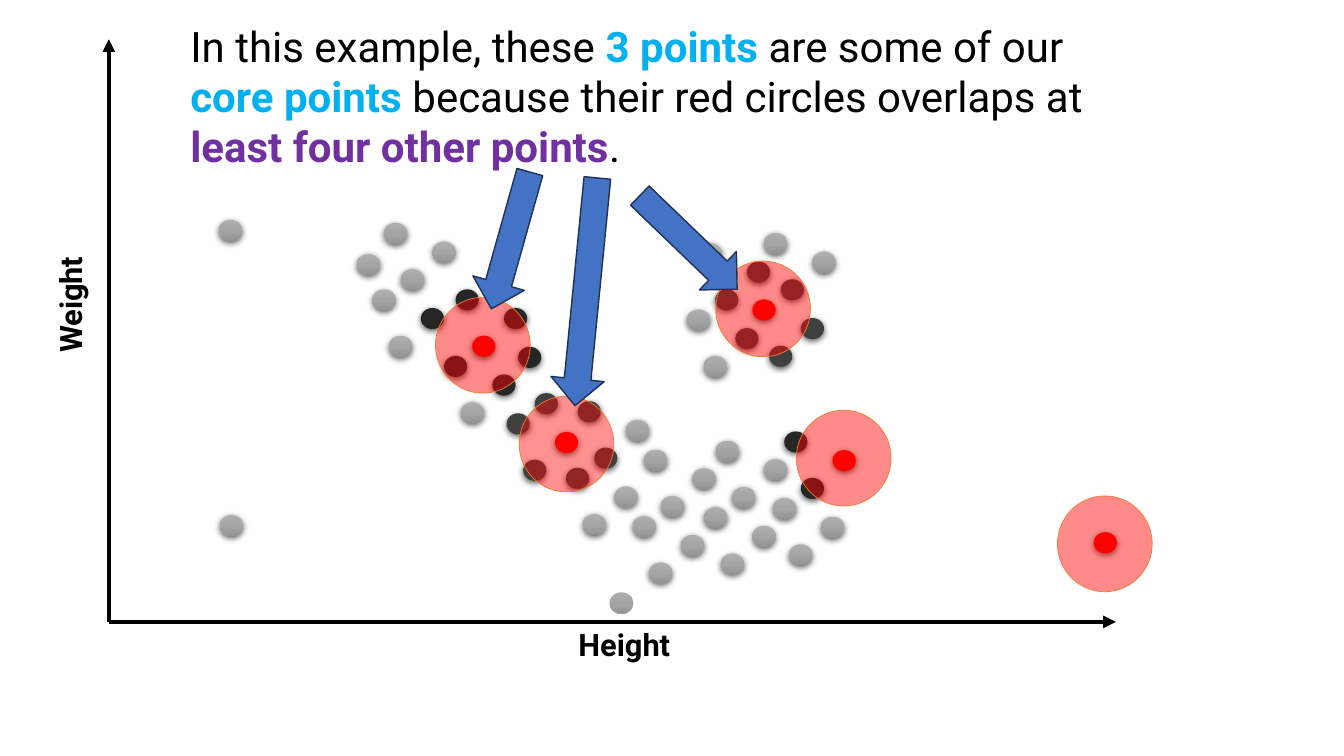
from copy import deepcopy
from lxml.etree import SubElement
from pptx import Presentation
from pptx.dml.color import RGBColor
from pptx.enum.shapes import MSO_CONNECTOR as Link, MSO_SHAPE as Shape
from pptx.enum.text import MSO_AUTO_SIZE as Fit
from pptx.oxml.ns import qn
from pptx.util import Inches, Pt

COLUMNS, ROWS = 133.33, 75
BLACK, RED, SKY, PURPLE = "000000", "FF0000", "00B0F0", "7030A0"
GRAY_STOPS = ((0, "AFAFAF"), (0.5, "A5A5A5"), (1, "939393"))
SHADES = {"d": "262626", "k": "404040", "r": RED, "g": None}

# Each cluster repeats the same six dots; its letters give their shades.
CLUSTER_DOTS = ((0, 0), (1.65, 4.6), (4.8, 1.85), (-1.15, 6.6), (0.5, 11.2), (3.65, 8.45))
CLUSTERS = (
    (38.1, 22.1, "gggggd"), (45.2, 28.7, "drddgd"), (51.4, 34.4, "dkgkkr"),
    (57.3, 39.8, "kkgkgg"), (63.9, 44.6, "gggggg"), (71, 43.7, "gggggg"),
    (77.8, 42.8, "ddrggg"), (69.3, 24.1, "gkkggk"), (75.8, 23.1, "gkgrkk"),
)
SINGLE_DOTS = ((21.7, 21.8, "g"), (21.8, 51.1, "g"), (108.5, 52.8, "r"), (35.4, 25.2, "g"))
RADIUS_CIRCLES = ((43.2, 29.5, 46), (51.5, 39.3, 43), (71, 25.9, 46),
                  (79, 40.7, 46), (104.9, 49.2, 46))
ARROWS = ((43.6, 21.2, 14.1, 105.7), (61.6, 21.4, 13.4, 43.9), (46.8, 26.3, 22.7, 95.6))
MESSAGE = (
    ("In this example, these ", BLACK, False), ("3 points", SKY, True),
    (" are some of our ", BLACK, False), ("core points", SKY, True),
    (" because their red circles overlaps at ", BLACK, False),
    ("least four other points", PURPLE, True), (".", BLACK, False),
)


def colour(code):
    return RGBColor.from_string(code)


def add_xml(parent, tag, **values):
    return SubElement(parent, qn(tag), {name: str(value) for name, value in values.items()})


def apply_format(target, values):
    for name, value in values.items():
        setattr(target, name, value)


class ScatterPage:
    """Draws on one slide, in columns and rows of a grid."""

    font = "Roboto"
    dot_size = (2.3, 2.1)
    circle_size = (9.4, 9.5)
    arrow_height = 5.3

    def __init__(self, deck):
        self.page = deck.slides.add_slide(deck.slide_layouts[6])
        self.column = deck.slide_width / COLUMNS
        self.row = deck.slide_height / ROWS

    def place(self, left, top, width, height):
        return [round(left * self.column), round(top * self.row),
                round(width * self.column), round(height * self.row)]

    def axis(self, left, top, right, bottom):
        line = self.page.shapes.add_connector(
            Link.STRAIGHT, *self.place(left, top, right, bottom))
        line.line.color.rgb = colour(BLACK)
        line.line.width = Pt(3)
        add_xml(line.line._get_or_add_ln(), "a:tailEnd", type="triangle")
        add_xml(line._element.spPr, "a:effectLst")

    def shape(self, kind, place, fill, outline=None, weight=0.5):
        """Adds a preset shape; without a fill colour it gets the gray gradient."""
        shape = self.page.shapes.add_shape(kind, *self.place(*place))
        shape.shadow.inherit = False
        if fill:
            shape.fill.solid()
            shape.fill.fore_color.rgb = colour(fill)
        else:
            self.gray_gradient(shape)
        if outline:
            shape.line.color.rgb = colour(outline)
            shape.line.width = Pt(weight)
        else:
            shape.line.fill.background()
        return shape

    def gray_gradient(self, shape):
        shape.fill.gradient()
        shape.fill.gradient_angle = 270
        stop_list = shape._element.spPr.find(".//" + qn("a:gsLst"))
        stop_list.insert(1, deepcopy(stop_list[0]))
        for stop, (position, code) in zip(shape.fill.gradient_stops, GRAY_STOPS):
            stop.position = position
            stop.color.rgb = colour(code)

    def dot(self, left, top, shade):
        dot = self.shape(Shape.OVAL, (left, top, *self.dot_size), SHADES[shade])
        effects = dot._element.spPr.find(qn("a:effectLst"))
        shadow = add_xml(effects, "a:outerShdw", blurRad=Pt(4.5), dist=Pt(1.5),
                         dir=5400000, algn="ctr", rotWithShape=0)
        black = add_xml(shadow, "a:srgbClr", val=BLACK)
        add_xml(black, "a:alpha", val=63000)

    def radius_circle(self, left, top, opacity):
        circle = self.shape(Shape.OVAL, (left, top, *self.circle_size), RED, "ED7D31")
        red = circle._element.spPr.find(qn("a:solidFill"))[0]
        add_xml(red, "a:alpha", val=opacity * 1000)

    def arrow(self, left, top, length, angle):
        arrow = self.shape(Shape.RIGHT_ARROW, (left, top, length, self.arrow_height),
                           "4472C4", "1E3256", 1)
        arrow.rotation = angle

    def text(self, place, spans, size, wrap=False, angle=0):
        box = self.page.shapes.add_textbox(*self.place(*place))
        box.rotation = angle
        apply_format(box.text_frame, {"word_wrap": wrap, "auto_size": Fit.SHAPE_TO_FIT_TEXT})
        para = box.text_frame.paragraphs[0]
        for words, code, bold in spans:
            span = para.add_run()
            span.text = words
            apply_format(span.font, {"name": self.font, "size": Pt(size), "bold": bold})
            span.font.color.rgb = colour(code)


def main():
    deck = Presentation()
    deck.slide_width, deck.slide_height = Inches(13.33), Inches(7.5)
    plot = ScatterPage(deck)

    plot.axis(10.8, 61.7, 110.7, 61.7)
    plot.axis(10.8, 61.7, 10.8, 3.9)
    for left, top, shades in CLUSTERS:
        for (across, down), shade in zip(CLUSTER_DOTS, shades):
            plot.dot(left + across, top + down, shade)
    for single in SINGLE_DOTS:
        plot.dot(*single)

    plot.text((17.9, 1.5, 92.8, 16.2), MESSAGE, 30, wrap=True)
    for circle in RADIUS_CIRCLES:
        plot.radius_circle(*circle)
    for arrow in ARROWS:
        plot.arrow(*arrow)
    plot.shape(Shape.OVAL, (60.5, 58.8, *plot.dot_size), None, "A5A5A5")

    plot.text((56.4, 61.6, 11.7, 4.7), [("Height", BLACK, True)], 22)
    plot.text((1, 27.7, 11.9, 4.7), [("Weight", BLACK, True)], 22, angle=270)
    deck.save("out.pptx")


if __name__ == "__main__":
    main()
